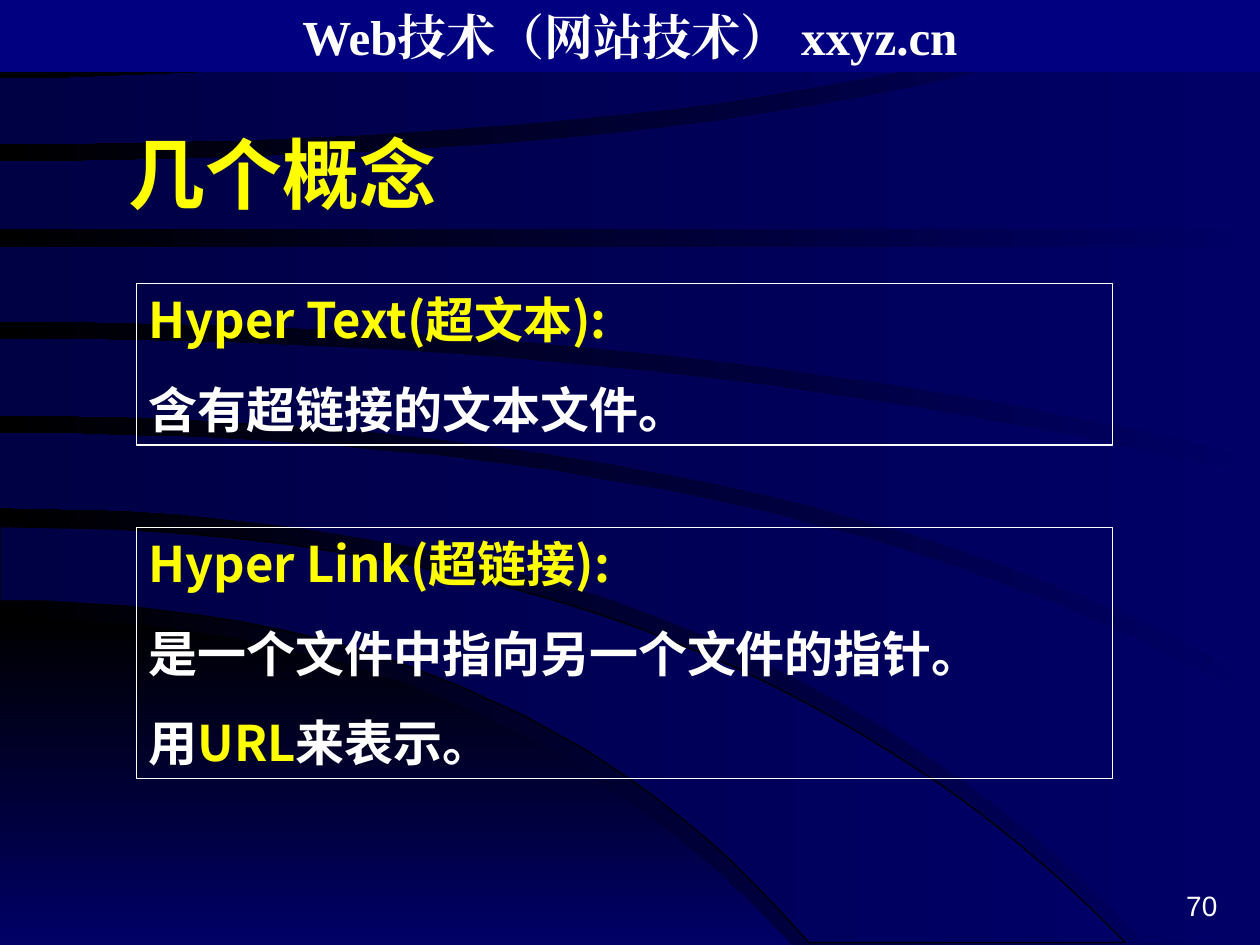
"""Build the slide on hypertext and hyperlink concepts over a background of curved bands."""
from lxml import etree
from pptx import Presentation
from pptx.dml.color import RGBColor
from pptx.enum.shapes import MSO_SHAPE
from pptx.enum.text import MSO_ANCHOR, MSO_AUTO_SIZE, PP_ALIGN
from pptx.oxml.ns import qn
from pptx.util import Cm, Pt

RECTANGLE = MSO_SHAPE.RECTANGLE
TOP, MIDDLE = MSO_ANCHOR.TOP, MSO_ANCHOR.MIDDLE
NO_FIT, FIT_SHAPE = MSO_AUTO_SIZE.NONE, MSO_AUTO_SIZE.SHAPE_TO_FIT_TEXT
LEFT, CENTER, RIGHT = PP_ALIGN.LEFT, PP_ALIGN.CENTER, PP_ALIGN.RIGHT
BLACK = RGBColor(0x00, 0x00, 0x00)
WHITE = RGBColor(0xFF, 0xFF, 0xFF)
YELLOW = RGBColor(0xFF, 0xFF, 0x00)
BLUE = RGBColor(0x00, 0x00, 0x66)
DARK_BLUE = RGBColor(0x00, 0x00, 0x44)
HEADER_BLUE = RGBColor(0x00, 0x00, 0x80)
SANS, SERIF, NUMBER_FONT = "Noto Sans CJK SC", "Times New Roman", "Arial"
BAND_UNIT = Cm(2.54) / 100
CURVE_STEPS = 24


def set_gradient(fill, start, end, angle):
    fill.gradient()
    fill.gradient_angle = angle
    for stop, position, color in zip(fill.gradient_stops, (0, 1), (start, end)):
        stop.position = position
        stop.color.rgb = color


def write_text(shape, paragraphs, size=28, font=SANS, bold=True, align=LEFT,
               anchor=TOP, fit=NO_FIT, space_before=0):
    frame = shape.text_frame
    frame.word_wrap = True
    frame.auto_size = fit
    frame.vertical_anchor = anchor
    for index, runs in enumerate(paragraphs):
        paragraph = frame.add_paragraph() if index else frame.paragraphs[0]
        paragraph.alignment = align
        paragraph.space_before = Pt(space_before if index else 0)
        for text, color in runs:
            run = paragraph.add_run()
            run.text = text
            run.font.size = Pt(size)
            run.font.bold = bold
            run.font.name = font
            run.font.color.rgb = color
            east_asian = etree.SubElement(run.font._element, qn("a:ea"))
            east_asian.set("typeface", font)


presentation = Presentation()
presentation.slide_width = Cm(25.4)
presentation.slide_height = Cm(19.05)
slide = presentation.slides.add_slide(presentation.slide_layouts[5])
set_gradient(slide.background.fill, BLUE, BLACK, 180)

# Each edge is (start y, bend x, end x, end y): a curve leaving the left side level.
bands = [
    ("corner", (491, 393, 628, 750), (750, 314, 628, 750), []),
    ("outlined", (418, 576, 893, 748), (477, 410, 642, 748), []),
    ("plain", (344, 640, 1000, 560), (403, 588, 909, 748), [(1000, 748)]),
    ("plain", (269, 554, 1000, 379), (330, 628, 1000, 542), []),
    ("plain", (196, 500, 1000, 196), (255, 566, 1000, 364), []),
    ("plain", (128, 668, 943, 0), (182, 500, 1000, 182), [(1000, 0)]),
    ("plain", (62, 322, 548, 0), (114, 617, 915, 0), []),
    ("plain", (0, 246, 492, 0), (47, 278, 492, 0), []),
]
for style, upper, lower, side_points in bands:
    edges = []
    for start_y, bend_x, end_x, end_y in (upper, lower):
        fractions = [step / CURVE_STEPS for step in range(CURVE_STEPS + 1)]
        edges.append([(2 * t * (1 - t) * bend_x + t * t * end_x,
                       start_y + t * t * (end_y - start_y)) for t in fractions])
    points = edges[0] + side_points + edges[1][::-1]
    builder = slide.shapes.build_freeform(*points[0], scale=BAND_UNIT)
    builder.add_line_segments(points[1:], close=True)
    band = builder.convert_to_shape()
    band.shadow.inherit = False
    if style == "corner":
        set_gradient(band.fill, BLACK, BLUE, 270)
    else:
        set_gradient(band.fill, BLUE, DARK_BLUE, 180)
    if style == "outlined":
        band.line.color.rgb = BLACK
        band.line.width = Pt(0.75)
    else:
        band.line.fill.background()

header = slide.shapes.add_shape(RECTANGLE, 0, 0, Cm(25.4), Cm(1.45))
header.shadow.inherit = False
header.fill.solid()
header.fill.fore_color.rgb = HEADER_BLUE
header.line.fill.background()
write_text(header, [[("Web技术（网站技术） xxyz.cn", WHITE)]], font=SERIF, align=CENTER,
           fit=FIT_SHAPE)

definitions = [
    (5.72, 3.25, [[("Hyper Text(超文本):", YELLOW)],
                  [("含有超链接的文本文件。", WHITE)]]),
    (10.64, 5.05, [[("Hyper Link(超链接):", YELLOW)],
                   [("是一个文件中指向另一个文件的指针。", WHITE)],
                   [("用", WHITE), ("URL", YELLOW), ("来表示。", WHITE)]]),
]
for top, height, paragraphs in definitions:
    box = slide.shapes.add_shape(RECTANGLE, Cm(2.75), Cm(top), Cm(19.68), Cm(height))
    box.shadow.inherit = False
    box.fill.background()
    box.line.color.rgb = WHITE
    box.line.width = Pt(0.75)
    write_text(box, paragraphs, fit=FIT_SHAPE, space_before=17.5)

title = slide.shapes.title
title.left, title.top, title.width, title.height = Cm(2.34), Cm(2.54), Cm(7.98), Cm(1.9)
write_text(title, [[("几个概念", YELLOW)]], size=44, anchor=MIDDLE)
title.element.getparent().append(title.element)

page_number = slide.shapes.add_textbox(Cm(19.5), Cm(17.78), Cm(5.29), Cm(1.27))
write_text(page_number, [[("70", WHITE)]], size=16, font=NUMBER_FONT, bold=False, align=RIGHT)

presentation.save("out.pptx")
